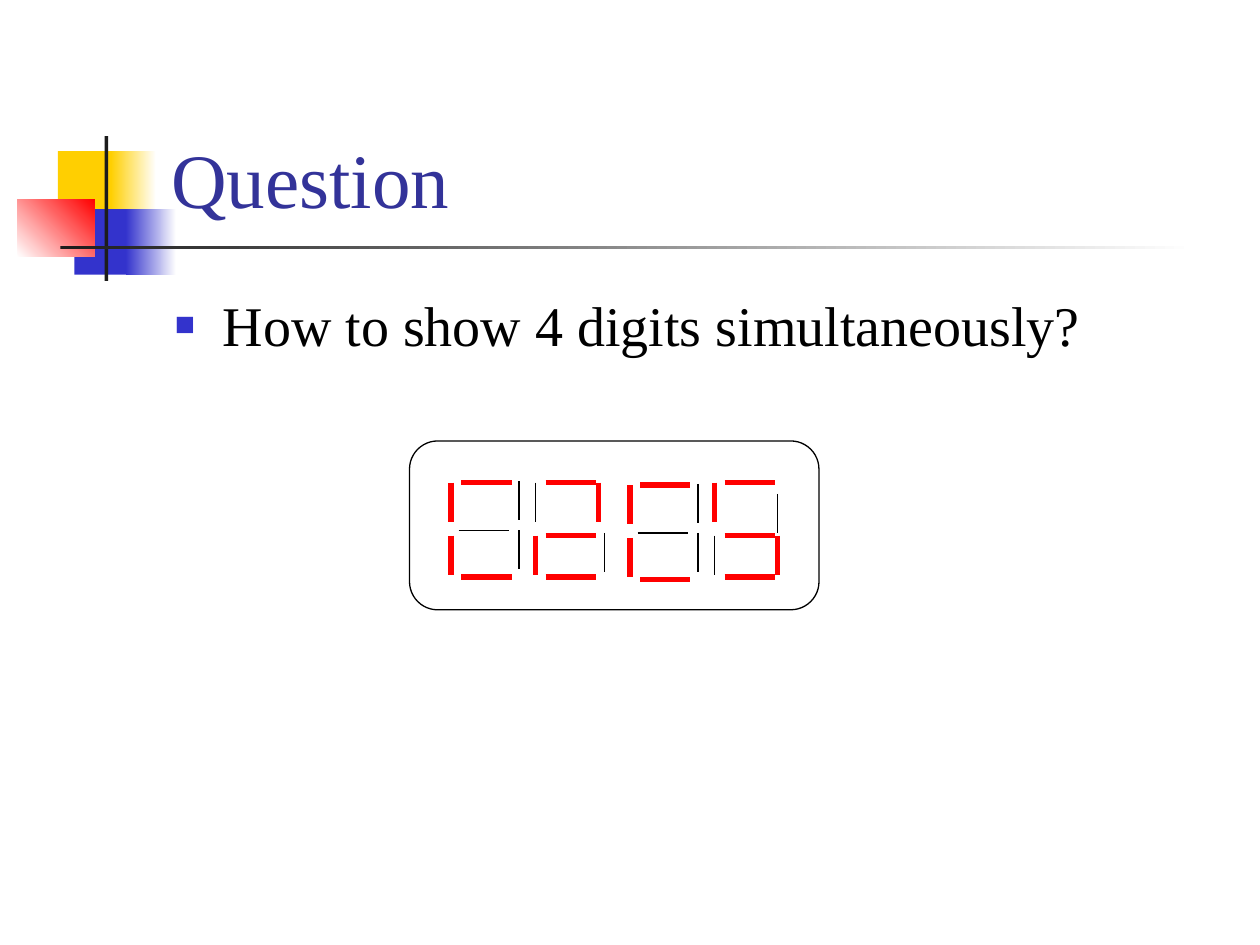
from lxml import etree
from pptx import Presentation
from pptx.dml.color import RGBColor
from pptx.enum.shapes import MSO_CONNECTOR, MSO_SHAPE
from pptx.enum.text import MSO_ANCHOR
from pptx.oxml.ns import qn
from pptx.util import Inches, Pt

RECTANGLE = MSO_SHAPE.RECTANGLE
ROUNDED = MSO_SHAPE.ROUNDED_RECTANGLE
STRAIGHT = MSO_CONNECTOR.STRAIGHT
TOP, BOTTOM = MSO_ANCHOR.TOP, MSO_ANCHOR.BOTTOM

FONT = "Times New Roman"
COLORS = {
    "yellow": "FFCF01", "blue": "3333CC", "red": "FF0000", "white": "FFFFFF",
    "bar": "1C1C1C", "title": "333399", "black": "000000",
}

# Seven-segment geometry: offset from the digit's top left, and direction
SEGMENT_OFFSETS = {
    "a": (0.08, 0), "b": (0.5, 0), "c": (0.5, 0.42), "d": (0.08, 0.75),
    "e": (0, 0.42), "f": (0, 0), "g": (0.08, 0.42),
}
HORIZONTAL = "adg"
HORIZONTAL_LENGTH, VERTICAL_LENGTH = 0.4, 0.31
WIDE_OFFSETS = {"b": (0.54, -0.01), "c": (0.54, 0.38), "g": (0.06, 0.38)}

# Position within the display, lit segments, offsets that differ
DIGITS = [
    (0.33, 0.33, "adef", WIDE_OFFSETS),
    (1, 0.33, "abdeg", {"c": (0.55, 0.4)}),
    (1.75, 0.35, "adef", WIDE_OFFSETS),
    (2.42, 0.33, "acdfg", {"b": (0.5, 0.09)}),
]


def rgb(name):
    return RGBColor.from_string(COLORS[name])


def add_block(slide, box, start, end=None, angle=0):
    """Borderless rectangle, solid or fading from start to end."""
    shape = slide.shapes.add_shape(RECTANGLE, *map(Inches, box))
    shape.shadow.inherit = False
    shape.line.fill.background()
    if end is None:
        shape.fill.solid()
        shape.fill.fore_color.rgb = rgb(start)
        return
    shape.fill.gradient()
    shape.fill.gradient_angle = angle
    for stop, color in zip(shape.fill.gradient_stops, (start, end)):
        stop.color.rgb = rgb(color)


def add_bullet(paragraph, character, color, percent, indent):
    properties = paragraph._p.get_or_add_pPr()
    properties.set("marL", str(Inches(indent)))
    properties.set("indent", str(-Inches(indent)))
    bullet_color = etree.SubElement(properties, qn("a:buClr"))
    etree.SubElement(bullet_color, qn("a:srgbClr"), val=COLORS[color])
    etree.SubElement(properties, qn("a:buSzPct"), val=str(percent * 1000))
    etree.SubElement(properties, qn("a:buFont"), typeface=FONT)
    etree.SubElement(properties, qn("a:buChar"), char=character)


def add_text(slide, box, text, size, color, anchor=TOP, bullet=None):
    frame = slide.shapes.add_textbox(*map(Inches, box)).text_frame
    frame.word_wrap = True
    frame.vertical_anchor = anchor
    paragraph = frame.paragraphs[0]
    if bullet:
        add_bullet(paragraph, **bullet)
    run = paragraph.add_run()
    run.text = text
    run.font.name = FONT
    run.font.size = Pt(size)
    run.font.color.rgb = rgb(color)


def add_line(shapes, start, end, color, width):
    line = shapes.add_connector(STRAIGHT, *map(Inches, (*start, *end)))
    line.line.color.rgb = rgb(color)
    line.line.width = Pt(width)
    etree.SubElement(line._element.spPr, qn("a:effectLst"))


def add_ornament(slide, left, top):
    """Overlapping squares with a crossing upright and a fading rule."""
    blocks = [
        (0.32, 0.12, 0.48, 0.52, "yellow"),
        (0.74, 0.12, 0.36, 0.52, "yellow", "white"),
        (0.45, 0.58, 0.46, 0.52, "blue"),
        (0.86, 0.58, 0.4, 0.52, "blue", "white"),
        (0, 0.5, 0.61, 0.46, "white", "red", 45),
        (0.69, 0, 0.03, 1.15, "bar"),
        (0.34, 0.87, 9, 0.03, "bar", "white"),
    ]
    for x, y, width, height, *colors in blocks:
        add_block(slide, (left + x, top + y, width, height), *colors)


def add_digit(shapes, left, top, lit, changed_offsets):
    for segment, (x, y) in {**SEGMENT_OFFSETS, **changed_offsets}.items():
        start = (left + x, top + y)
        if segment in HORIZONTAL:
            end = (start[0] + HORIZONTAL_LENGTH, start[1])
        else:
            end = (start[0], start[1] + VERTICAL_LENGTH)
        style = ("red", 3) if segment in lit else ("black", 0.75)
        add_line(shapes, start, end, *style)


def add_display(slide, left, top, width, height):
    """Rounded case holding the four seven-segment digits."""
    shapes = slide.shapes.add_group_shape().shapes
    case = shapes.add_shape(ROUNDED, *map(Inches, (left, top, width, height)))
    case.adjustments[0] = 0.167
    case.shadow.inherit = False
    case.fill.background()
    case.line.color.rgb = rgb("black")
    case.line.width = Pt(0.75)
    for x, y, lit, changed_offsets in DIGITS:
        add_digit(shapes, left + x, top + y, lit, changed_offsets)


def main():
    presentation = Presentation()
    presentation.slide_width = Inches(10)
    presentation.slide_height = Inches(7.5)
    slide = presentation.slides.add_slide(presentation.slide_layouts[6])
    add_ornament(slide, 0.14, 1.08)
    add_text(slide, (1.26, 0.23, 8.52, 1.6), "Question", 44, "title",
             anchor=BOTTOM)
    add_text(slide, (1.29, 2.26, 8.5, 0.71),
             "How to show 4 digits simultaneously?", 32, "black",
             bullet={"character": "■", "color": "blue", "percent": 60,
                     "indent": 0.38})
    add_display(slide, 3.25, 3.5, 3.25, 1.34)
    presentation.save("out.pptx")


if __name__ == "__main__":
    main()
